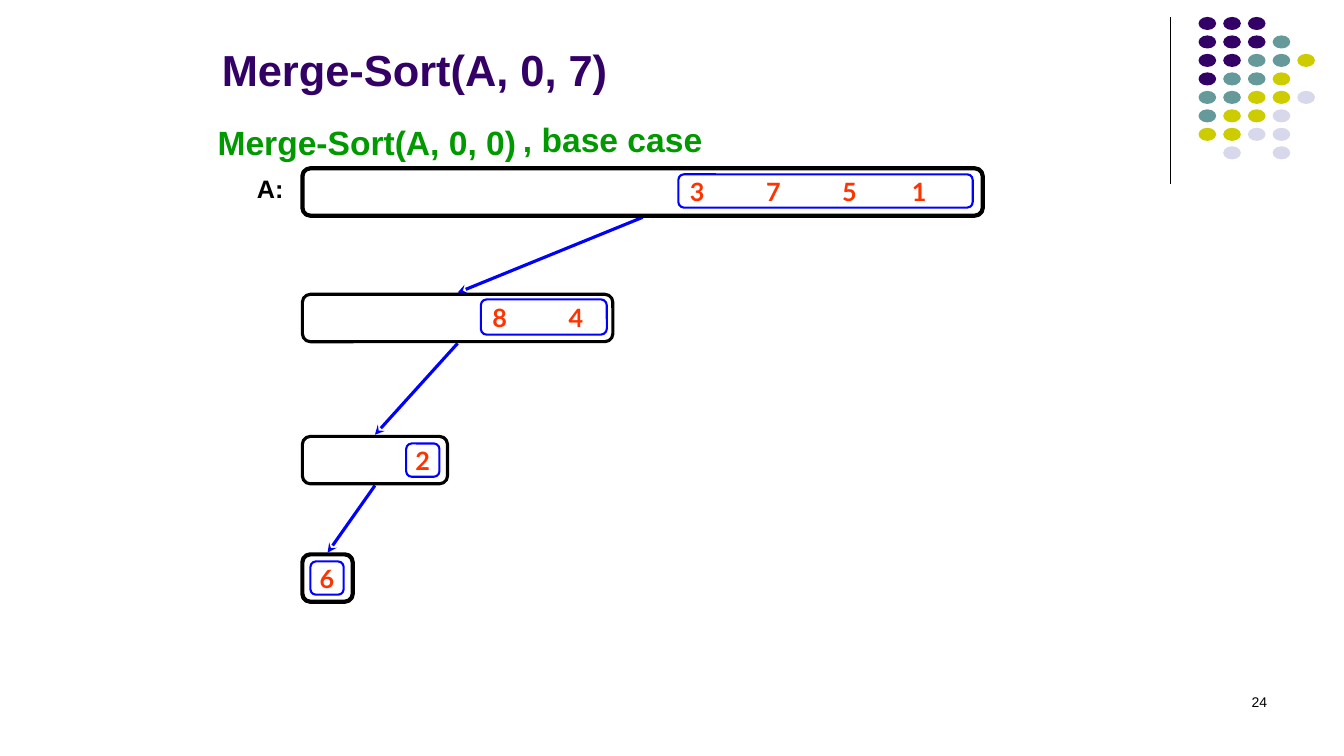
import pptx
import pptx.util
import pptx.dml.color
import pptx.enum.shapes
import pptx.enum.text
import pptx.oxml
import pptx.oxml.ns
from dataclasses import dataclass

Pt = pptx.util.Pt
Align = pptx.enum.text.PP_ALIGN
Anchor = pptx.enum.text.MSO_ANCHOR
Shape = pptx.enum.shapes.MSO_SHAPE


@dataclass(frozen=True)
class Theme:
    heading_font: str = "Arial"
    number_font: str = "Lato"
    title_size: int = 31
    call_size: int = 24
    value_size: int = 18
    page_size: int = 10
    purple: str = "330066"
    teal: str = "669999"
    olive: str = "CCCC00"
    lavender: str = "D8D8EC"
    green: str = "009900"
    blue: str = "0000FF"
    red: str = "FF3300"
    black: str = "000000"


THEME = Theme()

TITLE = ("Merge-Sort(A, 0, 7)", (151.2, 25.2, 594, 46.08))
CALLS = [
    ("Merge-Sort(A, 0, 0)", (148.32, 83.52, 256.32, 36)),
    (", base case", (366.48, 81.36, 174.96, 36)),
]
ARRAY_LABEL = ("A:", (176.4, 120.24, 33.84, 28.8))
PAGE_NUMBER = ("24", (688.32, 491.76, 223.92, 36))

BAR_LEFT, BAR_HEIGHT = 216, 33.84
# One recursion level each: bar top, bar width, line width, pending values, their box
LEVELS = [
    (120.24, 486, 3, "3751", (484.56, 124.56, 210.24, 23.76)),
    (210.24, 221.76, 2.25, "84", (343.44, 213.84, 90, 25.2)),
    (311.76, 103.68, 2.25, "2", (290.16, 316.8, 23.76, 23.76)),
    (396, 36, 3, "6", (221.76, 401.04, 23.76, 23.76)),
]
VALUE_TABS = (54.4, 108.8, 158.6)
ARROW_GAP = 1.2

DOT_ROWS = ["PPP", "PPPT", "PPTTO", "PTTO", "TTOOL", "TOOL", "OOLL", " L L"]
DOT_COLOURS = {"P": THEME.purple, "T": THEME.teal, "O": THEME.olive, "L": THEME.lavender}
DOT_LEFT, DOT_TOP, DOT_STEP_X, DOT_STEP_Y = 856.08, 12.1, 17.64, 13.2
DOT_WIDTH, DOT_HEIGHT = 12.6, 9.36
RULE_X, RULE_TOP, RULE_BOTTOM = 835.92, 12.24, 131.76


def rgb(colour):
    return pptx.dml.color.RGBColor.from_string(colour)


def points(values):
    return [Pt(value) for value in values]


def write_text(shape, text, *, size, colour, font=THEME.heading_font, bold=True,
               align=Align.LEFT, anchor=Anchor.TOP, wrap=True, side_margin=7.2,
               edge_margin=3.6, tabs=()):
    frame = shape.text_frame
    frame.auto_size = pptx.enum.text.MSO_AUTO_SIZE.NONE
    frame.word_wrap = wrap
    frame.vertical_anchor = anchor
    frame.margin_left = frame.margin_right = Pt(side_margin)
    frame.margin_top = frame.margin_bottom = Pt(edge_margin)
    paragraph = frame.paragraphs[0]
    paragraph.alignment = align
    if tabs:
        properties = paragraph._p.get_or_add_pPr()
        tab_list = pptx.oxml.ns.qn("a:tabLst")
        tab_list = properties.makeelement(tab_list, {})
        properties.append(tab_list)
        for position in tabs:
            tab = tab_list.makeelement(pptx.oxml.ns.qn("a:tab"),
                                       {"pos": str(Pt(position)), "algn": "l"})
            tab_list.append(tab)
    run = paragraph.add_run()
    run.text = text
    run.font.name = font
    run.font.size = Pt(size)
    run.font.bold = bold
    run.font.color.rgb = rgb(colour)


def add_text(slide, text, box, **text_format):
    write_text(slide.shapes.add_textbox(*points(box)), text, **text_format)


def add_outline(slide, box, colour, width):
    shape = slide.shapes.add_shape(Shape.ROUNDED_RECTANGLE, *points(box))
    shape.shadow.inherit = False
    shape.fill.background()
    shape.line.color.rgb = rgb(colour)
    shape.line.width = Pt(width)
    return shape


def add_line(slide, start, end, colour, width, arrow=False):
    connector = slide.shapes.add_connector(
        pptx.enum.shapes.MSO_CONNECTOR.STRAIGHT, *points(start + end))
    connector.line.color.rgb = rgb(colour)
    connector.line.width = Pt(width)
    if arrow:
        outline = connector.line._get_or_add_ln()
        outline.append(outline.makeelement(pptx.oxml.ns.qn("a:tailEnd"), {"type": "stealth"}))
    properties = connector._element.spPr
    properties.append(properties.makeelement(pptx.oxml.ns.qn("a:effectLst"), {}))


def add_decoration(slide):
    add_line(slide, (RULE_X, RULE_TOP), (RULE_X, RULE_BOTTOM), THEME.black, 0.75)
    for row, letters in enumerate(DOT_ROWS):
        for column, letter in enumerate(letters):
            if letter == " ":
                continue
            box = (DOT_LEFT + column * DOT_STEP_X, DOT_TOP + row * DOT_STEP_Y,
                   DOT_WIDTH, DOT_HEIGHT)
            dot = slide.shapes.add_shape(Shape.OVAL, *points(box))
            dot.shadow.inherit = False
            dot.fill.solid()
            dot.fill.fore_color.rgb = rgb(DOT_COLOURS[letter])
            dot.line.fill.background()


def add_recursion(slide):
    for (top, width, *_), (next_top, next_width, *_) in zip(LEVELS, LEVELS[1:]):
        start = (BAR_LEFT + width / 2, top + BAR_HEIGHT + ARROW_GAP)
        end = (BAR_LEFT + next_width / 2, next_top - ARROW_GAP)
        add_line(slide, start, end, THEME.blue, 2.25, arrow=True)
    for top, width, line_width, values, value_box in LEVELS:
        add_outline(slide, (BAR_LEFT, top, width, BAR_HEIGHT), THEME.black, line_width)
        single = len(values) == 1
        write_text(add_outline(slide, value_box, THEME.blue, 1.5), "\t".join(values),
                   size=THEME.value_size, colour=THEME.red, font=THEME.number_font,
                   align=Align.CENTER if single else Align.LEFT, anchor=Anchor.MIDDLE,
                   side_margin=0 if single else 7.2, edge_margin=0,
                   tabs=VALUE_TABS[:len(values) - 1])


def main():
    presentation = pptx.Presentation()
    presentation.slide_width, presentation.slide_height = Pt(960), Pt(540)
    slide = presentation.slides.add_slide(presentation.slide_layouts[5])

    text, box = TITLE
    title = slide.shapes.title
    title.left, title.top, title.width, title.height = points(box)
    write_text(title, text, size=THEME.title_size, colour=THEME.purple, anchor=Anchor.BOTTOM)

    add_decoration(slide)
    add_recursion(slide)
    for text, box in CALLS:
        add_text(slide, text, box, size=THEME.call_size, colour=THEME.green)
    add_text(slide, *ARRAY_LABEL, size=THEME.value_size, colour=THEME.black, wrap=False)
    add_text(slide, *PAGE_NUMBER, size=THEME.page_size, colour=THEME.black, bold=False,
             align=Align.RIGHT)
    presentation.save("out.pptx")


if __name__ == "__main__":
    main()
